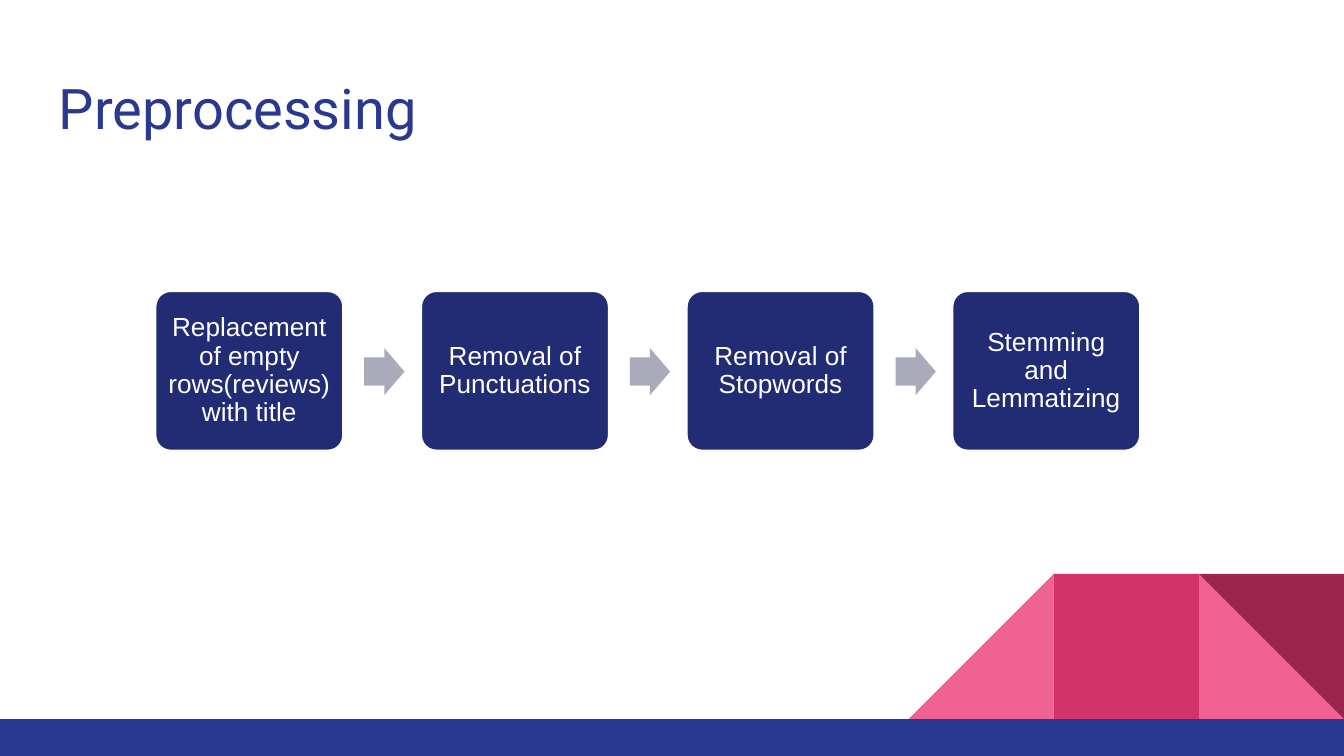
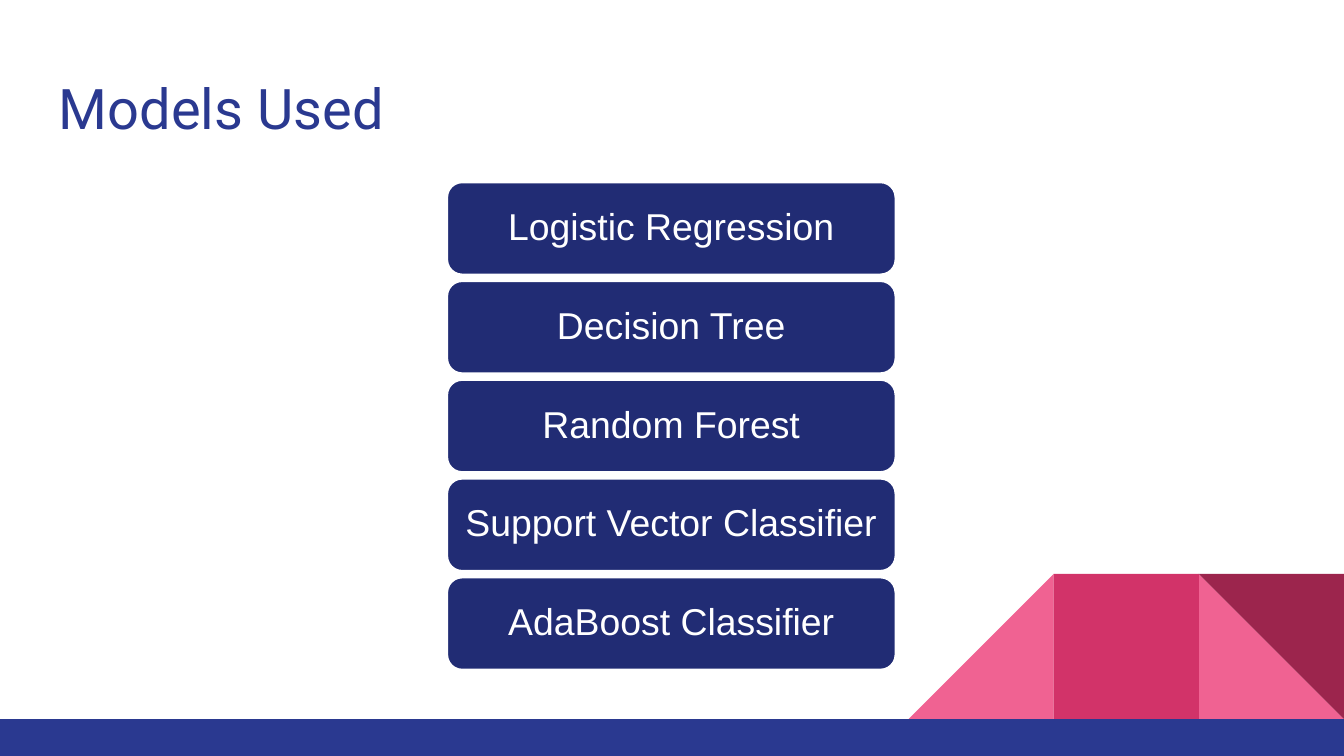
from dataclasses import dataclass

import pptx
import pptx.dml.color
import pptx.enum.shapes
import pptx.enum.text
import pptx.util

Inches = pptx.util.Inches
Pt = pptx.util.Pt
Kind = pptx.enum.shapes.MSO_SHAPE
Align = pptx.enum.text.PP_ALIGN
Anchor = pptx.enum.text.MSO_ANCHOR

WIDE, HIGH = 10, 5.625
BLUE, NAVY, WHITE, GREY = "2A3990", "212C74", "FFFFFF", "A9ABBB"
PINK, ROSE, WINE = "F06292", "D23369", "9C254D"
UNIT = 1.08
BAND = 5.35

STEPS = [
    "Replacement of empty rows(reviews) with title",
    "Removal of Punctuations",
    "Removal of Stopwords",
    "Stemming and Lemmatizing",
]
MODELS = [
    "Logistic Regression",
    "Decision Tree",
    "Random Forest",
    "Support Vector Classifier",
    "AdaBoost Classifier",
]


@dataclass(frozen=True)
class Part:
    kind: Kind
    left: float
    top: float
    width: float
    height: float
    fill: str
    turn: int = 0
    bends: tuple[float, ...] = ()


@dataclass(frozen=True)
class Style:
    font: str
    size: int
    color: str
    align: Align
    anchor: Anchor
    pad_x: float
    pad_y: float
    lines: float = 1.0


TITLE = Style("Roboto", 30, BLUE, Align.LEFT, Anchor.TOP, 0.1, 0.1)
STEP = Style("Arial", 14, WHITE, Align.CENTER, Anchor.MIDDLE, 0.06, 0.06, 0.9)
MODEL = Style("Arial", 20, WHITE, Align.CENTER, Anchor.MIDDLE, 0.08, 0.04, 0.9)


def decor() -> list[Part]:
    left, mid, right = (WIDE - n * UNIT for n in (3, 2, 1))
    top = BAND - UNIT
    return [
        Part(Kind.RIGHT_TRIANGLE, right, top, UNIT, UNIT, PINK),
        Part(Kind.RIGHT_TRIANGLE, left, top, UNIT, UNIT, PINK, 270),
        Part(Kind.RECTANGLE, mid, top, UNIT, UNIT, ROSE),
        Part(Kind.RIGHT_TRIANGLE, right, top, UNIT, UNIT, WINE, 180),
        Part(Kind.RECTANGLE, 0, BAND, WIDE, HIGH - BAND, BLUE),
    ]


def paint(target, code: str) -> None:
    target.solid()
    target.fore_color.rgb = pptx.dml.color.RGBColor.from_string(code)


def apply(target, values: dict) -> None:
    for name, value in values.items():
        setattr(target, name, value)


def draw(slide, part: Part):
    place = map(Inches, (part.left, part.top, part.width, part.height))
    shape = slide.shapes.add_shape(part.kind, *place)
    shape.shadow.inherit = False
    shape.rotation = part.turn
    paint(shape.fill, part.fill)
    shape.line.fill.background()
    for spot, bend in enumerate(part.bends):
        shape.adjustments[spot] = bend
    return shape


def write(shape, text: str, style: Style) -> None:
    frame = shape.text_frame
    apply(frame, {
        "word_wrap": True,
        "vertical_anchor": style.anchor,
        "margin_left": Inches(style.pad_x),
        "margin_right": Inches(style.pad_x),
        "margin_top": Inches(style.pad_y),
        "margin_bottom": Inches(style.pad_y),
    })
    para = frame.paragraphs[0]
    apply(para, {"alignment": style.align, "line_spacing": style.lines})
    run = para.add_run()
    run.text = text
    apply(run.font, {"name": style.font, "size": Pt(style.size)})
    paint(run.font.fill, style.color)


def label(slide, part: Part, text: str, style: Style) -> None:
    shape = draw(slide, part)
    paint(shape.line.fill, WHITE)
    shape.line.width = Pt(2)
    write(shape, text, style)


def spread(first: float, last: float, count: int) -> list[float]:
    gap = (last - first) / (count - 1)
    return [first + gap * n for n in range(count)]


def start(deck, title: str):
    slide = deck.slides.add_slide(deck.slide_layouts[6])
    paint(slide.background.fill, WHITE)
    for part in decor():
        draw(slide, part)
    box = slide.shapes.add_textbox(*map(Inches, (0.34, 0.45, 9.32, 0.66)))
    write(box, title, TITLE)
    return slide


def add_steps(deck) -> None:
    slide = start(deck, "Preprocessing")
    lefts = spread(1.15, 7.08, len(STEPS))
    for left, text in zip(lefts, STEPS):
        box = Part(Kind.ROUNDED_RECTANGLE, left, 2.16, 1.41, 1.2, NAVY, bends=(0.1,))
        label(slide, box, text, STEP)
    for left in lefts[:-1]:
        draw(slide, Part(Kind.RIGHT_ARROW, left + 1.56, 2.59, 0.3, 0.35, GREY, bends=(0.6, 0.5)))


def add_models(deck) -> None:
    slide = start(deck, "Models Used")
    for top, text in zip(spread(1.35, 4.29, len(MODELS)), MODELS):
        box = Part(Kind.ROUNDED_RECTANGLE, 3.32, top, 3.35, 0.7, NAVY, bends=(0.17,))
        label(slide, box, text, MODEL)


def main() -> None:
    deck = pptx.Presentation()
    apply(deck, {"slide_width": Inches(WIDE), "slide_height": Inches(HIGH)})
    add_steps(deck)
    add_models(deck)
    deck.save("out.pptx")


if __name__ == "__main__":
    main()
